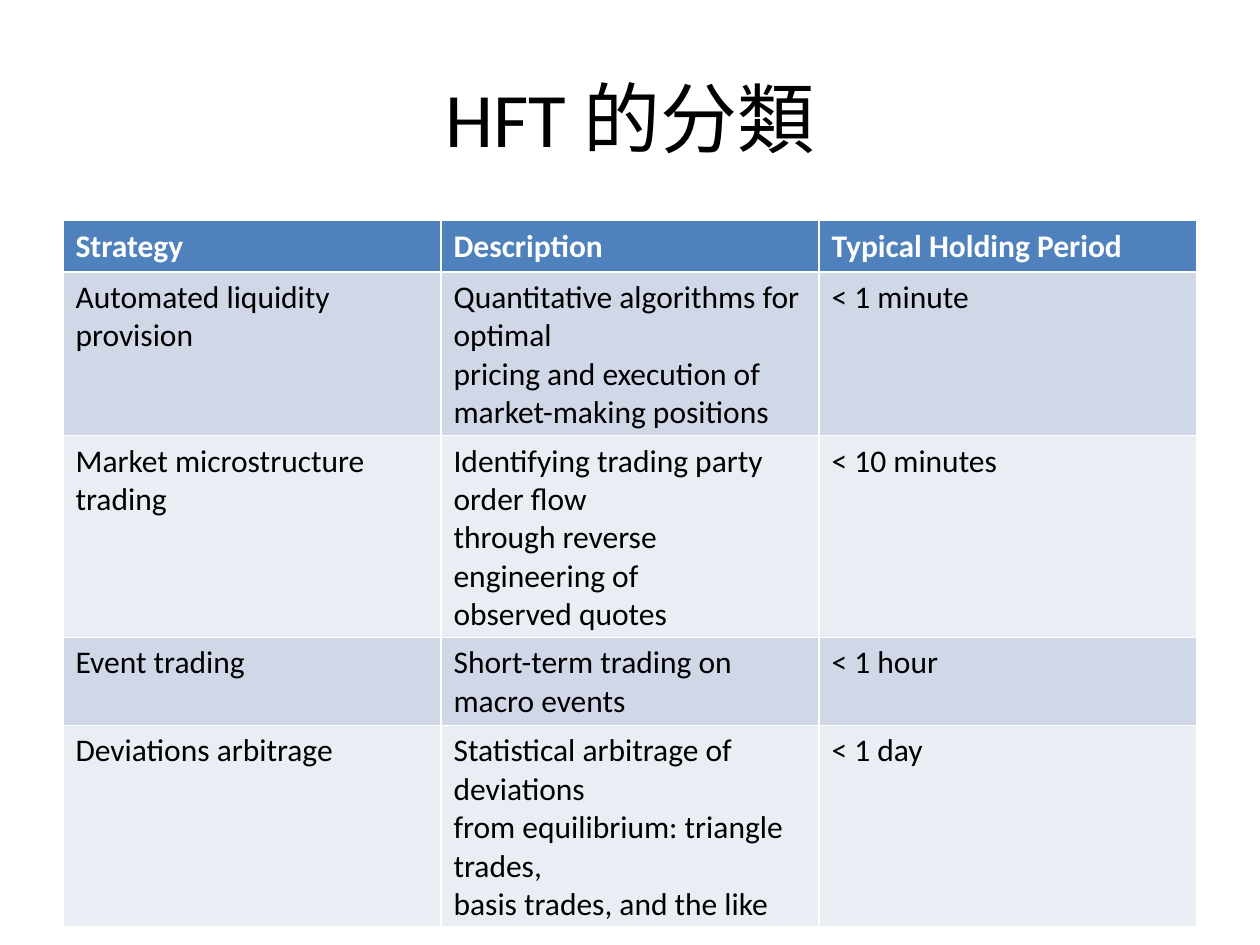
"""Build a slide with a table that classifies HFT strategies."""
from pptx import Presentation
from pptx.dml.color import RGBColor
from pptx.enum.text import MSO_ANCHOR, PP_ALIGN
from pptx.util import Cm, Pt

CENTER = PP_ALIGN.CENTER
MIDDLE = MSO_ANCHOR.MIDDLE
FONT = "Calibri"
HEADER_FILL = "4F81BD"
BAND_FILLS = ["E9EDF4", "D0D8E8"]
ROWS = [
    ("Strategy", "Description", "Typical Holding Period"),
    ("Automated liquidity\nprovision",
     "Quantitative algorithms for optimal\npricing and execution of\nmarket-making positions",
     "< 1 minute"),
    ("Market microstructure\ntrading",
     "Identifying trading party order ﬂow\nthrough reverse engineering of\nobserved quotes",
     "< 10 minutes"),
    ("Event trading", "Short-term trading on macro events", "< 1 hour"),
    ("Deviations arbitrage",
     "Statistical arbitrage of deviations\nfrom equilibrium: triangle trades,\nbasis trades, and the like",
     "< 1 day"),
]


def rgb(value):
    return RGBColor.from_string(value)


def set_font(p, size, color, bold=False):
    p.font.name = FONT
    p.font.size = Pt(size)
    p.font.bold = bold
    p.font.color.rgb = rgb(color)


prs = Presentation()
prs.slide_width = Cm(25.4)
prs.slide_height = Cm(19.05)
s = prs.slides.add_slide(prs.slide_layouts[6])

title = s.shapes.add_textbox(Cm(1.27), Cm(0.76), Cm(22.86), Cm(3.18))
tf = title.text_frame
tf.word_wrap = True
tf.vertical_anchor = MIDDLE
p = tf.paragraphs[0]
p.text = "HFT 的分類"
p.alignment = CENTER
set_font(p, 44, "000000")

table = s.shapes.add_table(
    len(ROWS), len(ROWS[0]), Cm(1.27), Cm(4.45), Cm(22.86), Cm(1.03 * len(ROWS))
).table
for i, row in enumerate(ROWS):
    header = i == 0
    for j, text in enumerate(row):
        cell = table.cell(i, j)
        cell.text = text
        cell.fill.solid()
        cell.fill.fore_color.rgb = rgb(HEADER_FILL if header else BAND_FILLS[i % 2])
        for p in cell.text_frame.paragraphs:
            set_font(p, 18, "FFFFFF" if header else "000000", header)

prs.save("out.pptx")
